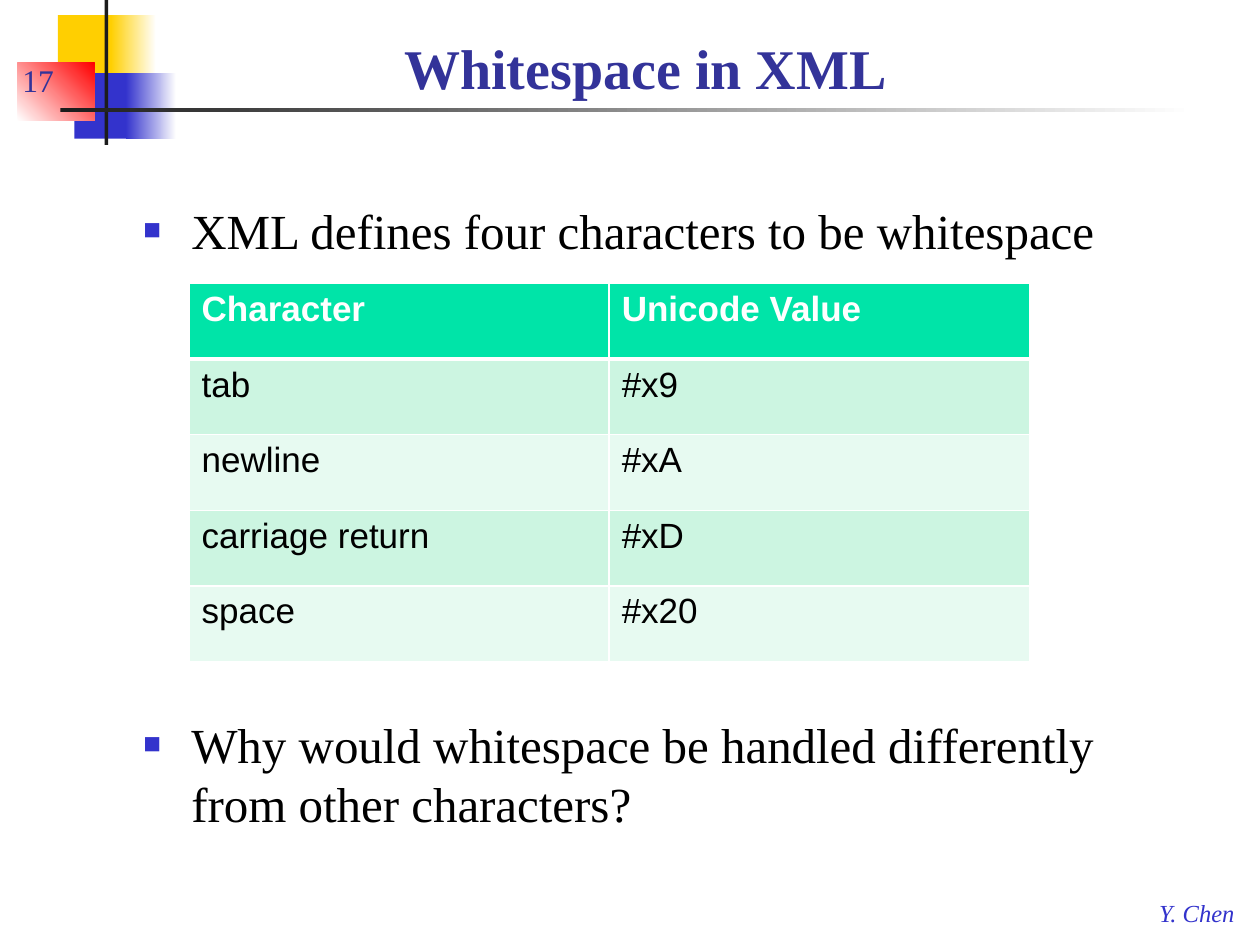
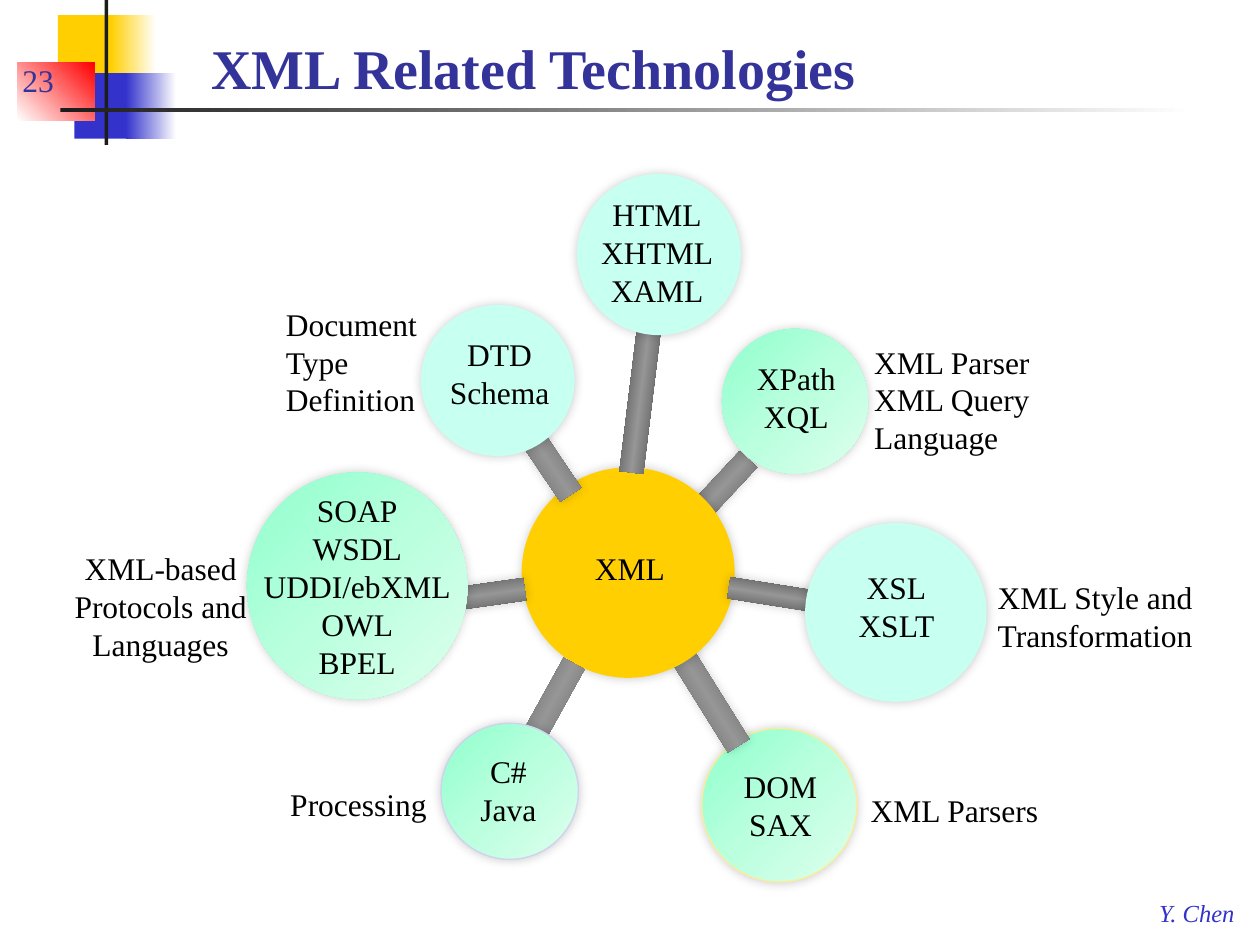
from lxml import etree
from pptx import Presentation
from pptx.dml.color import RGBColor
from pptx.enum import shapes, text
from pptx.oxml import parse_xml
from pptx.oxml.ns import nsdecls, qn
from pptx.util import Inches, Pt

YELLOW = RGBColor(0xFF, 0xCF, 0x01)
BLUE = RGBColor(0x33, 0x33, 0xCC)
NAVY = RGBColor(0x33, 0x33, 0x99)
RED = RGBColor(0xFF, 0x00, 0x00)
WHITE = RGBColor(0xFF, 0xFF, 0xFF)
BLACK = RGBColor(0x00, 0x00, 0x00)
CHARCOAL = RGBColor(0x1C, 0x1C, 0x1C)
AQUA = RGBColor(0xC7, 0xFF, 0xF0)
PALE_YELLOW = RGBColor(0xFF, 0xEC, 0x99)
PALE_BLUE = RGBColor(0xD1, 0xD1, 0xF0)
DARK_GRAY = RGBColor(0x45, 0x45, 0x45)
GRAY = RGBColor(0x96, 0x96, 0x96)
HEADER_GREEN = RGBColor(0x00, 0xE4, 0xA8)
ROW_GREENS = (RGBColor(0xE7, 0xFA, 0xF1), RGBColor(0xCC, 0xF5, 0xE1))
MINT = (RGBColor(0x8E, 0xFF, 0xCD), RGBColor(0xBA, 0xFF, 0xDE), RGBColor(0xDD, 0xFF, 0xEE))
METAL = (DARK_GRAY, GRAY, DARK_GRAY)

SERIF = "Times New Roman"
SANS = "Arial"
RECTANGLE = shapes.MSO_SHAPE.RECTANGLE
OVAL = shapes.MSO_SHAPE.OVAL
CENTER = text.PP_ALIGN.CENTER
LEFT = text.PP_ALIGN.LEFT


def inches(values):
    return [Inches(value) for value in values]


def write(frame, content, size=18, color=BLACK, font=SERIF, bold=False, italic=False,
          align=LEFT, bullet=False):
    for index, line in enumerate(content.split("\n")):
        paragraph = frame.add_paragraph() if index else frame.paragraphs[0]
        paragraph.alignment = align
        if bullet:
            add_bullet(paragraph)
        run = paragraph.add_run()
        run.text = line
        run.font.size = Pt(size)
        run.font.name = font
        run.font.bold = bold
        run.font.italic = italic
        run.font.color.rgb = color


def add_bullet(paragraph):
    properties = paragraph._p.get_or_add_pPr()
    properties.set("marL", str(Inches(0.38)))
    properties.set("indent", str(Inches(-0.38)))
    color = etree.SubElement(properties, qn("a:buClr"))
    etree.SubElement(color, qn("a:srgbClr"), val=str(BLUE))
    etree.SubElement(properties, qn("a:buSzPct"), val="60000")
    etree.SubElement(properties, qn("a:buFont"), typeface=SANS)
    etree.SubElement(properties, qn("a:buChar"), char="■")


def fill_gradient(shape, colors, angle):
    stops = "".join(
        f'<a:gs pos="{100000 * index // (len(colors) - 1)}"><a:srgbClr val="{color}"/></a:gs>'
        for index, color in enumerate(colors))
    gradient = parse_xml(
        f'<a:gradFill {nsdecls("a")} rotWithShape="1"><a:gsLst>{stops}</a:gsLst>'
        f'<a:lin ang="{angle * 60000}" scaled="0"/></a:gradFill>')
    shape._element.spPr.find(qn("a:prstGeom")).addnext(gradient)


def add_glow(shape):
    effects = shape._element.spPr.find(qn("a:effectLst"))
    effects.append(parse_xml(
        f'<a:outerShdw {nsdecls("a")} blurRad="{Pt(6)}" dist="0" dir="{315 * 60000}" '
        'rotWithShape="0"><a:srgbClr val="000000"><a:alpha val="20000"/></a:srgbClr>'
        '</a:outerShdw>'))


def add_border(cell, side, width):
    line = etree.SubElement(cell._tc.get_or_add_tcPr(), qn(f"a:ln{side}"), w=str(Pt(width)))
    fill = etree.SubElement(line, qn("a:solidFill"))
    etree.SubElement(fill, qn("a:srgbClr"), val=str(WHITE))


class Deck:
    def __init__(self):
        self.presentation = Presentation()
        self.presentation.slide_width = Inches(10)
        self.presentation.slide_height = Inches(7.5)
        self.slide = None

    def add_slide(self, title, number, title_box, align):
        self.slide = self.presentation.slides.add_slide(self.presentation.slide_layouts[6])
        self.shape((0.46, 0.12, 0.48, 0.52), YELLOW)
        self.shape((0.88, 0.12, 0.36, 0.52), (YELLOW, WHITE))
        self.shape((0.59, 0.58, 0.46, 0.52), BLUE)
        self.shape((1, 0.58, 0.4, 0.52), (BLUE, WHITE))
        self.shape((0.14, 0.5, 0.61, 0.46), (WHITE, RED), angle=315)
        self.shape((0.83, 0, 0.03, 1.15), CHARCOAL)
        self.shape((0.48, 0.86, 9, 0.03), (CHARCOAL, WHITE))
        self.text((9.1, 7.08, 0.82, 0.33), "Y. Chen", wrap=False,
                  size=14, color=BLUE, italic=True)
        bottom = text.MSO_ANCHOR.BOTTOM
        self.text(title_box, title, anchor=bottom, size=32, color=NAVY, bold=True, align=align)
        self.text((0.08, 0.33, 0.83, 0.5), number, anchor=bottom, color=NAVY)

    def shape(self, box, fill, kind=RECTANGLE, angle=0, rotation=0, line=None, glow=False):
        shape = self.slide.shapes.add_shape(kind, *inches(box))
        shape.rotation = rotation
        shape.shadow.inherit = False
        if isinstance(fill, RGBColor):
            shape.fill.solid()
            shape.fill.fore_color.rgb = fill
        else:
            fill_gradient(shape, fill, angle)
        if line is None:
            shape.line.fill.background()
        else:
            shape.line.color.rgb = line
            shape.line.width = Pt(0.75)
        if glow:
            add_glow(shape)

    def bubble(self, box, fill=MINT, line=None):
        self.shape(box, fill, kind=OVAL, angle=45, line=line, glow=True)

    def spoke(self, box, rotation, glow=True):
        self.shape(box, METAL, angle=90, rotation=rotation, glow=glow)

    def text(self, box, content, anchor=text.MSO_ANCHOR.TOP, wrap=True, **style):
        frame = self.slide.shapes.add_textbox(*inches(box)).text_frame
        frame.word_wrap = wrap
        frame.vertical_anchor = anchor
        write(frame, content, **style)

    def table(self, box, rows):
        table = self.slide.shapes.add_table(len(rows), len(rows[0]), *inches(box)).table
        for row_index, row in enumerate(rows):
            header = row_index == 0
            for column_index, value in enumerate(row):
                cell = table.cell(row_index, column_index)
                for side in "LRTB":
                    thick = (header and side == "B") or (row_index == 1 and side == "T")
                    add_border(cell, side, 3 if thick else 1)
                cell.fill.solid()
                cell.fill.fore_color.rgb = HEADER_GREEN if header else ROW_GREENS[row_index % 2]
                write(cell.text_frame, value, size=20, font=SANS, bold=header,
                      color=WHITE if header else BLACK)


def build_whitespace(deck):
    deck.add_slide("Whitespace in XML", "17", (0.75, 0.17, 8.75, 0.68), CENTER)
    deck.text((1.04, 1.54, 8.9, 1.08), "XML defines four characters to be whitespace",
              size=28, bullet=True)
    deck.table((1.5, 2.25, 6.67, 3), [
        ("Character", "Unicode Value"),
        ("tab", "#x9"),
        ("newline", "#xA"),
        ("carriage return", "#xD"),
        ("space", "#x20"),
    ])
    deck.text((1.04, 5.62, 8.46, 1.08),
              "Why would whitespace be handled differently from other characters?",
              size=28, bullet=True)


def build_technologies(deck):
    deck.add_slide("XML Related Technologies", "23", (1.58, 0.17, 8.33, 0.68), LEFT)
    deck.bubble((5.57, 5.78, 1.23, 1.22), line=PALE_YELLOW)
    deck.spoke((5.41, 3.78, 0.63, 0.19), 313)
    deck.spoke((5.09, 5.39, 1.01, 0.2), 238)
    deck.bubble((4.14, 3.71, 1.69, 1.67), YELLOW)
    deck.bubble((5.73, 2.61, 1.16, 1.15))
    deck.spoke((3.86, 3.47, 0.86, 0.2), 236)
    deck.bubble((3.34, 2.42, 1.22, 1.2), AQUA)
    deck.spoke((3.71, 5.67, 1.14, 0.19), 119, glow=False)
    deck.spoke((5.78, 4.64, 0.77, 0.17), 9)
    deck.bubble((6.39, 4.15, 1.44, 1.42), AQUA)
    deck.spoke((3.11, 4.66, 1.06, 0.18), 352)
    deck.bubble((1.96, 3.75, 1.75, 1.8))
    deck.bubble((3.5, 5.74, 1.09, 1.08), line=PALE_BLUE)
    deck.spoke((4.51, 3.09, 1.14, 0.19), 97, glow=False)
    deck.bubble((4.58, 1.38, 1.3, 1.28), AQUA)

    centered_labels = [
        ((4.52, 4.31, 0.96, 0.4), "XML"),
        ((5.8, 2.8, 1.04, 0.71), "XPath\nXQL"),
        ((3.34, 2.61, 1.25, 0.71), "DTD\nSchema"),
        ((5.51, 6.04, 1.37, 0.71), "DOM\nSAX"),
        ((6.45, 4.46, 1.33, 0.71), "XSL\nXSLT"),
        ((1.96, 3.85, 1.75, 1.62), "SOAP\nWSDL\nUDDI/ebXML\nOWL\nBPEL"),
        ((3.61, 5.92, 0.85, 0.71), "C#\nJava"),
        ((4.59, 1.5, 1.25, 1.01), "HTML\nXHTML\nXAML"),
        ((6.6, 6.23, 1.95, 0.4), "XML Parsers"),
        ((0.3, 4.31, 1.95, 1.01), "XML-based\nProtocols and Languages"),
        ((1.87, 6.18, 1.95, 0.4), "Processing"),
    ]
    left_labels = [
        ((7.82, 4.54, 1.76, 0.71), "XML Style and\nTransformation"),
        ((2.17, 2.37, 1.38, 1.01), "Document\nType Definition"),
        ((6.84, 2.67, 1.7, 1.01), "XML Parser\nXML Query\nLanguage"),
    ]
    for align, labels in ((CENTER, centered_labels), (LEFT, left_labels)):
        for box, content in labels:
            deck.text(box, content, align=align)


def main():
    deck = Deck()
    build_whitespace(deck)
    build_technologies(deck)
    deck.presentation.save("out.pptx")


if __name__ == "__main__":
    main()
